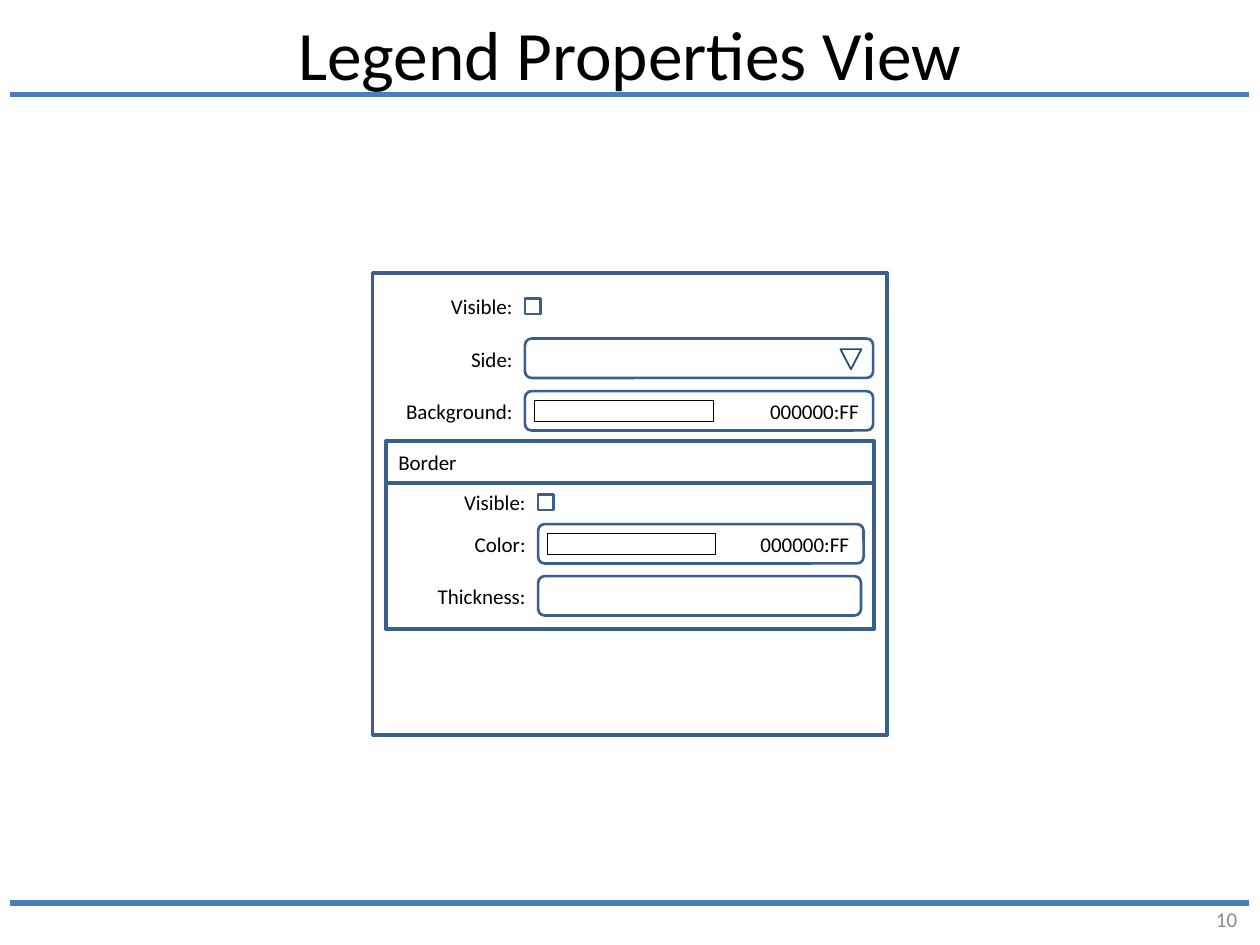
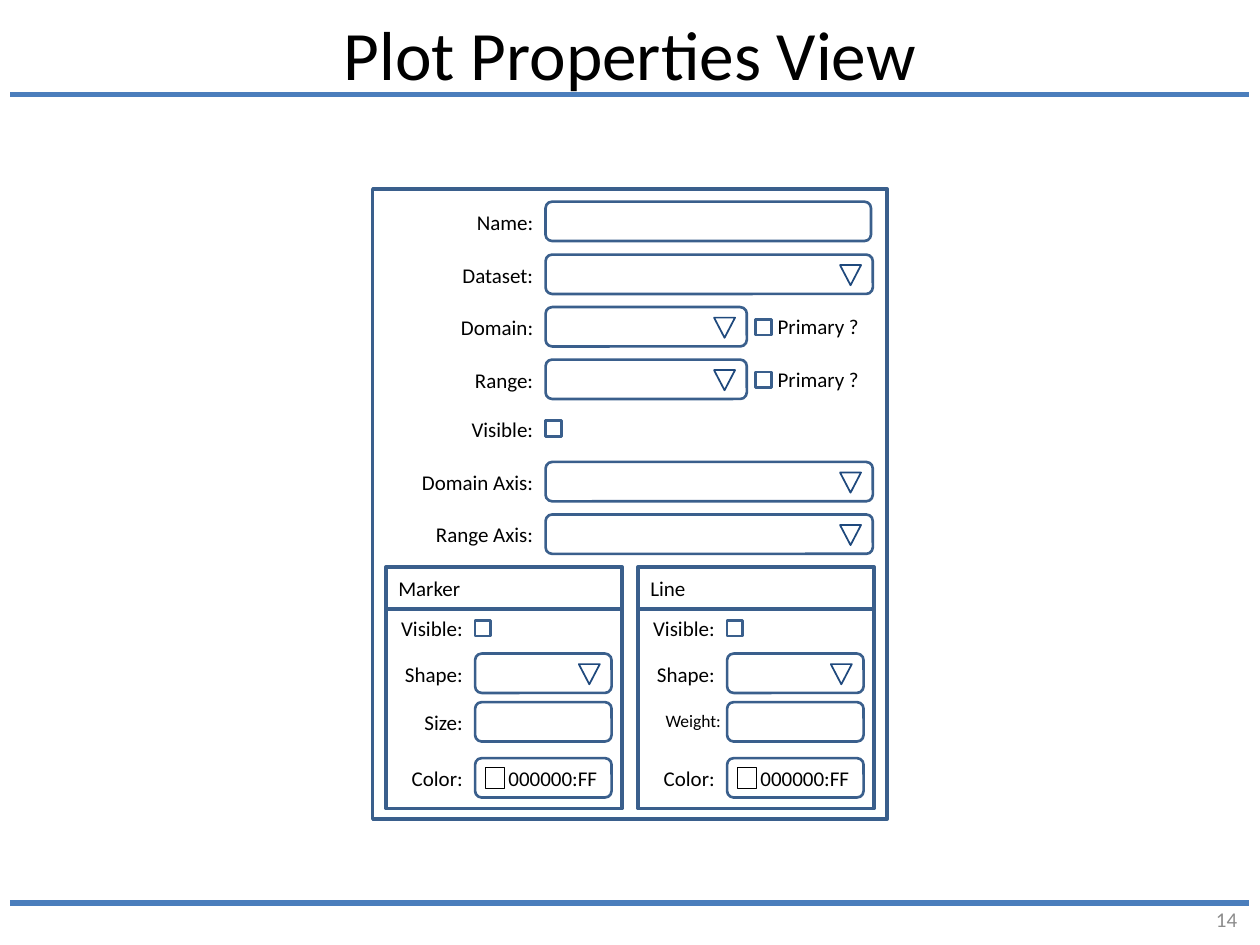
from dataclasses import dataclass

from lxml import etree
from pptx import Presentation
from pptx.dml.color import RGBColor
from pptx.enum.shapes import MSO_CONNECTOR, MSO_SHAPE
from pptx.enum.text import MSO_ANCHOR, MSO_AUTO_SIZE, PP_ALIGN
from pptx.oxml.ns import qn
from pptx.util import Pt

RECTANGLE = MSO_SHAPE.RECTANGLE
ROUNDED = MSO_SHAPE.ROUNDED_RECTANGLE
TRIANGLE = MSO_SHAPE.ISOSCELES_TRIANGLE
STRAIGHT = MSO_CONNECTOR.STRAIGHT
MIDDLE = MSO_ANCHOR.MIDDLE
TOP = MSO_ANCHOR.TOP
LEFT = PP_ALIGN.LEFT
CENTER = PP_ALIGN.CENTER
RIGHT = PP_ALIGN.RIGHT
NO_FIT = MSO_AUTO_SIZE.NONE
GROW = MSO_AUTO_SIZE.SHAPE_TO_FIT_TEXT

WHITE = RGBColor(0xFF, 0xFF, 0xFF)
BLACK = RGBColor(0x00, 0x00, 0x00)
GRAY = RGBColor(0x8C, 0x8C, 0x8C)
RULE_BLUE = RGBColor(0x4B, 0x7E, 0xBC)
OUTLINE_BLUE = RGBColor(0x3A, 0x5F, 0x8C)
ARROW_BLUE = RGBColor(0x1F, 0x49, 0x7D)
FONT = "Calibri"

SLIDE_WIDTH, SLIDE_HEIGHT = 720, 540
PANEL_LEFT, PANEL_WIDTH = 213, 294
SECTION_LEFT, SECTION_HEADER = 7.5, 24
FIELD_HEIGHT, LABEL_HEIGHT = 22.5, 21.8
CHECK_SIZE, CHECK_DROP = 9, 7


@dataclass
class Row:
    label: str
    top: float
    kind: str
    width: float = 0
    swatch: tuple = ()
    label_size: float = 12
    label_inset: float = 7.2
    primary: bool = False


def write(shape, text, align, size=12, color=BLACK, anchor=MIDDLE, inset=None):
    frame = shape.text_frame
    frame.word_wrap = True
    frame.vertical_anchor = anchor
    if inset is not None:
        frame.margin_left = frame.margin_right = Pt(inset)
        frame.margin_top = frame.margin_bottom = Pt(3.6)
    frame.text = text
    paragraph = frame.paragraphs[0]
    paragraph.alignment = align
    paragraph.font.size = Pt(size)
    paragraph.font.name = FONT
    paragraph.font.color.rgb = color


def add_box(shapes, kind, left, top, width, height, line_width, color=OUTLINE_BLUE):
    box = shapes.add_shape(kind, Pt(left), Pt(top), Pt(width), Pt(height))
    box.shadow.inherit = False
    box.fill.solid()
    box.fill.fore_color.rgb = WHITE
    box.line.color.rgb = color
    box.line.width = Pt(line_width)
    return box


def add_text(shapes, text, left, top, width, align, size=12, inset=7.2):
    height = LABEL_HEIGHT - (12 - size) * 1.22
    box = shapes.add_textbox(Pt(left), Pt(top), Pt(width), Pt(height))
    write(box, text, align, size, anchor=TOP, inset=inset)
    box.text_frame.auto_size = GROW


def add_check(shapes, left, top):
    add_box(shapes, RECTANGLE, left, top + CHECK_DROP, CHECK_SIZE, CHECK_SIZE, 1.5)


def add_row(shapes, row, left, top, label_width):
    add_text(shapes, row.label, left - label_width, top + 0.7, label_width,
             RIGHT, row.label_size, row.label_inset)
    if row.kind == "check":
        add_check(shapes, left, top)
        return
    field = add_box(shapes, ROUNDED, left, top, row.width, FIELD_HEIGHT, 1.5)
    if row.kind == "combo":
        arrow = add_box(shapes, TRIANGLE, left + row.width - 18.75, top + 6,
                        12, 11.5, 1, ARROW_BLUE)
        arrow.rotation = 180
    elif row.kind == "color":
        write(field, "000000:FF", RIGHT)
        offset, width = row.swatch
        add_box(shapes, RECTANGLE, left + offset, top + 5.25, width, 12.25, 0.75, BLACK)
    if row.primary:
        add_check(shapes, left + 120, top)
        add_text(shapes, "Primary ?", left + 129, top + 0.3, 58.3, LEFT, inset=3.6)


def add_rows(shapes, rows, left, top, field_left, label_width):
    for row in rows:
        add_row(shapes, row, left + field_left, top + row.top, label_width)


def add_section(shapes, title, rows, left, top, width, height, field_left, label_width):
    add_box(shapes, RECTANGLE, left, top + SECTION_HEADER, width,
            height - SECTION_HEADER, 2)
    add_rows(shapes, rows, left, top, field_left, label_width)
    header = add_box(shapes, RECTANGLE, left, top, width, SECTION_HEADER, 2)
    write(header, title, LEFT)


def add_panel(slide, rows, top, height, field_left, label_width):
    shapes = slide.shapes.add_group_shape().shapes
    add_box(shapes, RECTANGLE, PANEL_LEFT, top, PANEL_WIDTH, height, 2)
    add_rows(shapes, rows, PANEL_LEFT, top, field_left, label_width)
    return shapes


def add_rule(slide, y):
    rule = slide.shapes.add_connector(STRAIGHT, Pt(6), Pt(y), Pt(SLIDE_WIDTH - 6), Pt(y))
    rule.line.color.rgb = RULE_BLUE
    rule.line.width = Pt(3)
    etree.SubElement(rule._element.spPr, qn("a:effectLst"))


def add_page(presentation, title_text, number):
    slide = presentation.slides.add_slide(presentation.slide_layouts[5])
    for y in (54, 516):
        add_rule(slide, y)
    title = slide.shapes.title
    title.left, title.top, title.width, title.height = Pt(36), Pt(6), Pt(648), Pt(48)
    write(title, title_text, CENTER, 39.6)
    title.text_frame.auto_size = NO_FIT
    page_number = slide.shapes.add_textbox(Pt(546), Pt(516), Pt(168), Pt(18))
    write(page_number, number, RIGHT, color=GRAY)
    return slide


def build_legend_slide(presentation):
    slide = add_page(presentation, "Legend Properties View", "10")
    top, field_left, label_width = 156, 87, 78
    rows = [
        Row("Visible:", 7.5, "check"),
        Row("Side:", 37.5, "combo", 199),
        Row("Background:", 67.5, "color", 199, (5.25, 102.5)),
    ]
    border_rows = [
        Row("Visible:", 23.5, "check"),
        Row("Color:", 47.5, "color", 186, (5.25, 96)),
        Row("Thickness:", 77.25, "text", 184.5),
    ]
    shapes = add_panel(slide, rows, top, 264, field_left, label_width)
    add_section(shapes, "Border", border_rows, PANEL_LEFT + SECTION_LEFT, top + 96,
                279, 107.5, field_left, label_width)


def build_plot_slide(presentation):
    slide = add_page(presentation, "Plot Properties View", "14")
    top = 108
    rows = [
        Row("Name:", 7.25, "text", 186),
        Row("Dataset:", 37.5, "combo", 187),
        Row("Domain:", 67.5, "combo", 115, primary=True),
        Row("Range:", 97.5, "combo", 115, primary=True),
        Row("Visible:", 125.5, "check"),
        Row("Domain Axis:", 156, "combo", 187),
        Row("Range Axis:", 186, "combo", 187),
    ]
    sections = [
        ("Marker", Row("Size:", 77.25, "text", 78)),
        ("Line", Row("Weight:", 77.25, "text", 78, label_size=10, label_inset=3.6)),
    ]
    shapes = add_panel(slide, rows, top, 360, 98.75, 90)
    for index, (title, measure_row) in enumerate(sections):
        section_rows = [
            Row("Visible:", 23.5, "check"),
            Row("Shape:", 49.5, "combo", 78),
            measure_row,
            Row("Color:", 109.25, "color", 78, (6, 11)),
        ]
        add_section(shapes, title, section_rows, PANEL_LEFT + SECTION_LEFT + index * 144,
                    top + 216, 135, 138, 51, 51)


def main():
    presentation = Presentation()
    presentation.slide_width = Pt(SLIDE_WIDTH)
    presentation.slide_height = Pt(SLIDE_HEIGHT)
    build_legend_slide(presentation)
    build_plot_slide(presentation)
    presentation.save("out.pptx")


if __name__ == "__main__":
    main()
